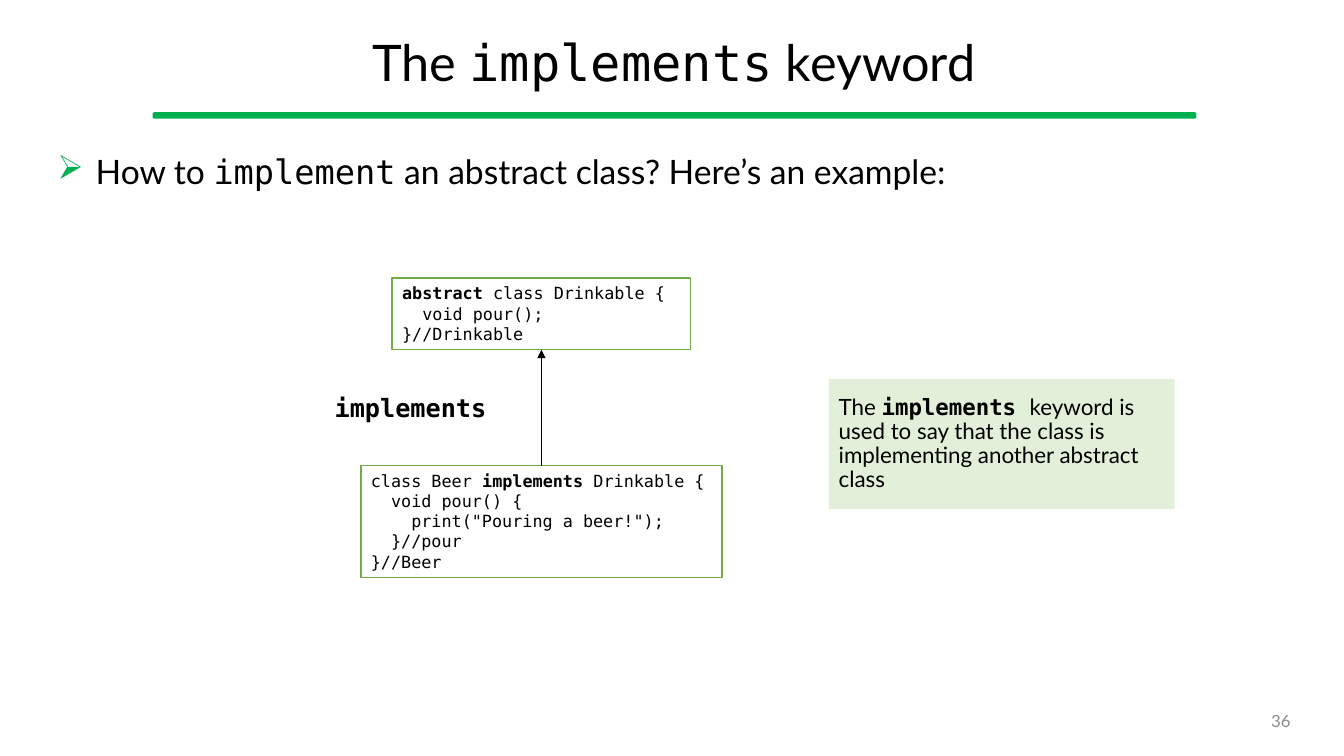
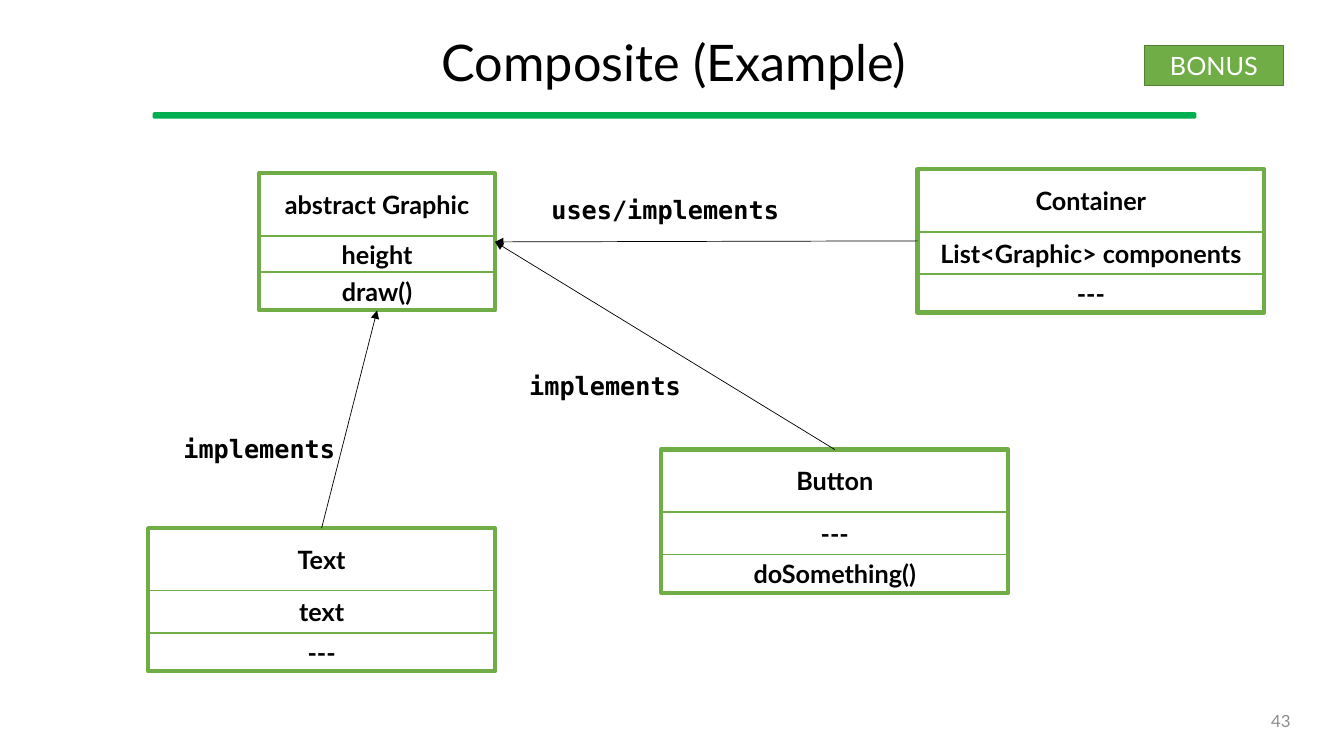
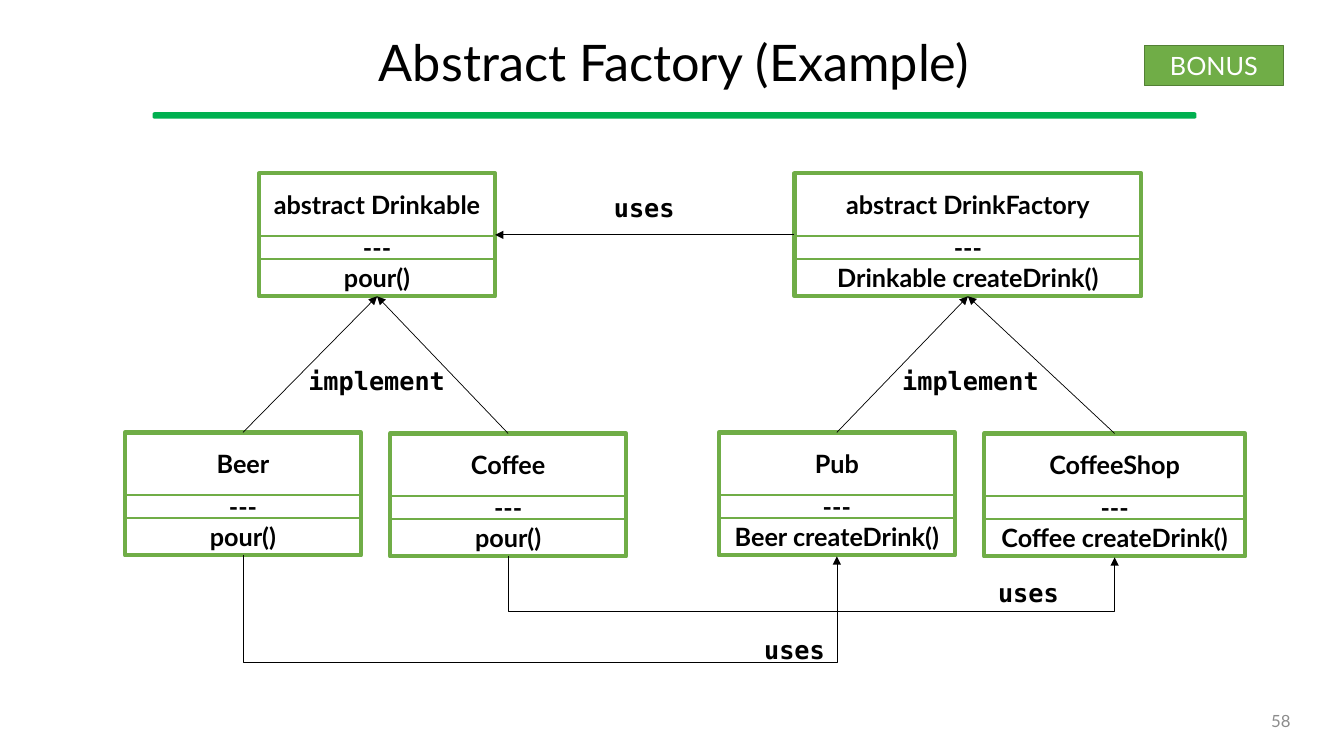
from dataclasses import dataclass
from typing import NamedTuple

from lxml.etree import SubElement
from pptx import Presentation
from pptx.dml.color import RGBColor
from pptx.enum.shapes import MSO_CONNECTOR, MSO_SHAPE
from pptx.enum.text import MSO_ANCHOR, MSO_AUTO_SIZE, PP_ALIGN
from pptx.oxml.ns import qn
from pptx.util import Inches, Pt

SANS, MONO = "Lato", "DejaVu Sans Mono"
BLACK, WHITE, GREY = "000000", "FFFFFF", "8C8C8C"
LEAF, RULE, MOSS, PALE = "70AD47", "00B050", "538035", "E2F0D9"
TOP, LEFT, BASE, RIGHT = range(4)
HEAD = 0.62


class Run(NamedTuple):
    """One stretch of text in one style."""
    text: str
    font: str = SANS
    bold: bool = False


class Area(NamedTuple):
    """Left, top, width and height in inches."""
    x: float
    y: float
    w: float
    h: float


@dataclass(frozen=True)
class Card:
    """A class box: place, height of its two lower rows, and its words."""
    x: float
    y: float
    w: float
    mid: float
    low: float
    name: str
    field: str
    method: str


class Label(NamedTuple):
    """A bold word beside an arrow."""
    x: float
    y: float
    w: float
    text: str


class Link(NamedTuple):
    """An arrow from one box side to another, with a drop if it bends."""
    tail: str
    exit: int
    head: str
    entry: int
    drop: float = 0


def tint(code):
    """Turn a hex string into a colour."""
    return RGBColor.from_string(code)


def place(area: Area):
    """Give an area as four lengths."""
    return [Inches(v) for v in area]


def write(shape, lines, size, color=BLACK, align=PP_ALIGN.LEFT,
          anchor=MSO_ANCHOR.MIDDLE, wrap=True, pitch=None):
    """Fill a shape with lines, each a list of runs."""
    frame = shape.text_frame
    frame.word_wrap = wrap
    frame.auto_size = MSO_AUTO_SIZE.NONE
    frame.vertical_anchor = anchor
    for i, line in enumerate(lines):
        para = frame.add_paragraph() if i else frame.paragraphs[0]
        para.alignment = align
        if pitch:
            para.line_spacing = pitch
        for part in line:
            run = para.add_run()
            run.text = part.text
            font = run.font
            font.name, font.bold, font.size = part.font, part.bold, Pt(size)
            font.color.rgb = tint(color)


def box(slide, area: Area, fill=WHITE, line=LEAF, width=1, kind=MSO_SHAPE.RECTANGLE):
    """Draw a plain shape; None leaves out its fill or line."""
    shape = slide.shapes.add_shape(kind, *place(area))
    shape.shadow.inherit = False
    if fill:
        shape.fill.solid()
        shape.fill.fore_color.rgb = tint(fill)
    else:
        shape.fill.background()
    if line:
        shape.line.color.rgb = tint(line)
        shape.line.width = Pt(width)
    else:
        shape.line.fill.background()
    return shape


def note(slide, area: Area, lines, size, **style):
    """Add a text box."""
    shape = slide.shapes.add_textbox(*place(area))
    write(shape, lines, size, **style)
    return shape


def mark(slide, label: Label):
    """Add the word beside an arrow."""
    note(slide, Area(label.x, label.y, label.w, 0.4), [[Run(label.text, MONO, True)]],
         18, anchor=MSO_ANCHOR.TOP, wrap=False)


def bend(line, drop):
    """Route an elbow down by the drop and back up to its end."""
    x, y = line.begin_x, line.begin_y
    span, thin = line.end_x - x, Inches(0.01)
    props = line._element.spPr
    form = props.find(qn("a:xfrm"))
    form.attrib.clear()
    form.set("rot", "16200000")
    form.set("flipH", "1")
    line.left, line.top = x + (span - thin) // 2, y + (thin - span) // 2
    line.width, line.height = thin, span
    guide = SubElement(props.find(qn("a:prstGeom")).find(qn("a:avLst")), qn("a:gd"))
    guide.set("name", "adj1")
    guide.set("fmla", f"val {round(Inches(drop) / thin * 100000)}")


def join(slide, boxes, link: Link):
    """Glue an arrow between two boxes."""
    kind = MSO_CONNECTOR.ELBOW if link.drop else MSO_CONNECTOR.STRAIGHT
    line = slide.shapes.add_connector(kind, 0, 0, 0, 0)
    line.begin_connect(boxes[link.tail], link.exit)
    line.end_connect(boxes[link.head], link.entry)
    if link.drop:
        bend(line, link.drop)
    line.line.color.rgb = tint(BLACK)
    line.line.width = Pt(0.5)
    props = line._element.spPr
    SubElement(props.find(qn("a:ln")), qn("a:tailEnd")).set("type", "triangle")
    SubElement(props, qn("a:effectLst"))


def draw(slide, card: Card):
    """Draw a class box and return its frame."""
    y = card.y
    rows = (card.name, HEAD), (card.field, card.mid), (card.method, card.low)
    for text, h in rows:
        cell = box(slide, Area(card.x, y, card.w, h))
        write(cell, [[Run(text, bold=True)]], 18, align=PP_ALIGN.CENTER)
        y += h
    return box(slide, Area(card.x, card.y, card.w, y - card.y), None, width=3)


def start(deck, title, page, bonus=False):
    """Add a slide with its title, rule, page number and badge."""
    slide = deck.slides.add_slide(deck.slide_layouts[5])
    rule = box(slide, Area(1.52, 1.12, 10.34, 0.05), RULE, RULE,
               kind=MSO_SHAPE.ROUNDED_RECTANGLE)
    rule.adjustments[0] = 0.26
    head = slide.shapes.title
    head.left, head.top, head.width, head.height = place(Area(0.47, 0.18, 12.43, 0.94))
    write(head, [title], 36, align=PP_ALIGN.CENTER, pitch=0.9)
    note(slide, Area(9.42, 6.95, 3.48, 0.4), [[Run(str(page))]], 12,
         color=GREY, align=PP_ALIGN.RIGHT)
    if bonus:
        badge = box(slide, Area(11.35, 0.45, 1.38, 0.4), LEAF, MOSS)
        write(badge, [[Run("BONUS")]], 18, WHITE, PP_ALIGN.CENTER)
    return slide


def chart(deck, title, page, cards, links, labels):
    """Build a slide with a class diagram."""
    slide = start(deck, [Run(title)], page, True)
    boxes = {card.name: draw(slide, card) for card in cards}
    for link in links:
        join(slide, boxes, link)
    for label in labels:
        mark(slide, label)


def keyword(deck):
    """Build the slide on the implements keyword."""
    slide = start(deck, [Run("The "), Run("implements", MONO), Run(" keyword")], 36)
    body = slide.shapes.add_textbox(*place(Area(0.47, 1.49, 11.29, 5.83)))
    props = body.text_frame.paragraphs[0]._p.get_or_add_pPr()
    props.set("marL", str(Inches(0.38)))
    props.set("indent", str(Inches(-0.38)))
    SubElement(SubElement(props, qn("a:buClr")), qn("a:srgbClr")).set("val", RULE)
    SubElement(props, qn("a:buChar")).set("char", "➢")
    write(body, [[Run("How to "), Run("implement", MONO),
                  Run(" an abstract class? Here’s an example:")]],
          24, anchor=MSO_ANCHOR.TOP, pitch=0.9)
    codes = {
        "Beer": (Area(3.58, 4.62, 3.58, 1.11), [
            [Run("class Beer ", MONO), Run("implements", MONO, True),
             Run(" Drinkable {", MONO)],
            [Run("  void pour() {", MONO)],
            [Run('    print("Pouring a beer!");', MONO)],
            [Run("  }//pour", MONO)],
            [Run("}//Beer", MONO)]]),
        "Drinkable": (Area(3.89, 2.76, 2.96, 0.71), [
            [Run("abstract", MONO, True), Run(" class Drinkable {", MONO)],
            [Run("  void pour();", MONO)],
            [Run("}//Drinkable", MONO)]]),
    }
    boxes = {}
    for name, (area, lines) in codes.items():
        boxes[name] = box(slide, area)
        write(boxes[name], lines, 12, anchor=MSO_ANCHOR.TOP)
    join(slide, boxes, Link("Beer", TOP, "Drinkable", BASE))
    mark(slide, Label(3.22, 3.84, 1.71, "implements"))
    hint = box(slide, Area(8.22, 3.76, 3.43, 1.29), PALE, None)
    write(hint, [[Run("The "), Run("implements ", MONO, True),
                  Run("keyword is used to say that the class is "
                      "implementing another abstract class")]], 16, pitch=0.9)


def main():
    """Build and save the deck."""
    deck = Presentation()
    deck.slide_width, deck.slide_height = Inches(13.33), Inches(7.5)
    keyword(deck)
    chart(
        deck, "Composite (Example)", 43,
        [Card(2.57, 1.72, 2.34, 0.36, 0.38, "abstract Graphic", "height", "draw()"),
         Card(9.1, 1.68, 3.44, 0.42, 0.38, "Container", "List<Graphic> components", "---"),
         Card(6.56, 4.46, 3.44, 0.42, 0.38, "Button", "---", "doSomething()"),
         Card(1.47, 5.24, 3.44, 0.42, 0.38, "Text", "text", "---")],
        [Link("Button", TOP, "abstract Graphic", RIGHT),
         Link("Text", TOP, "abstract Graphic", BASE),
         Link("Container", LEFT, "abstract Graphic", RIGHT)],
        [Label(1.72, 4.25, 1.71, "implements"),
         Label(5.37, 1.88, 2.46, "uses/implements"),
         Label(5.15, 3.62, 1.71, "implements")])
    mid, low = 0.23, 0.37
    chart(
        deck, "Abstract Factory (Example)", 58,
        [Card(2.57, 1.72, 2.34, mid, low, "abstract Drinkable", "---", "pour()"),
         Card(1.24, 4.29, 2.34, mid, low, "Beer", "---", "pour()"),
         Card(3.87, 4.3, 2.34, mid, low, "Coffee", "---", "pour()"),
         Card(7.88, 1.72, 3.44, mid, low, "abstract DrinkFactory", "---",
              "Drinkable createDrink()"),
         Card(7.13, 4.29, 2.34, mid, low, "Pub", "---", "Beer createDrink()"),
         Card(9.76, 4.3, 2.59, mid, low, "CoffeeShop", "---", "Coffee createDrink()")],
        [Link("Beer", TOP, "abstract Drinkable", BASE),
         Link("Coffee", TOP, "abstract Drinkable", BASE),
         Link("Pub", TOP, "abstract DrinkFactory", BASE),
         Link("CoffeeShop", TOP, "abstract DrinkFactory", BASE),
         Link("abstract DrinkFactory", LEFT, "abstract Drinkable", RIGHT),
         Link("Coffee", BASE, "CoffeeShop", BASE, 0.55),
         Link("Beer", BASE, "Pub", BASE, 1.08)],
        [Label(2.96, 3.58, 1.56, "implement"),
         Label(8.85, 3.58, 1.56, "implement"),
         Label(5.99, 1.86, 0.81, "uses"),
         Label(9.8, 5.68, 0.81, "uses"),
         Label(7.48, 6.24, 0.81, "uses")])
    deck.save("out.pptx")


if __name__ == "__main__":
    main()
